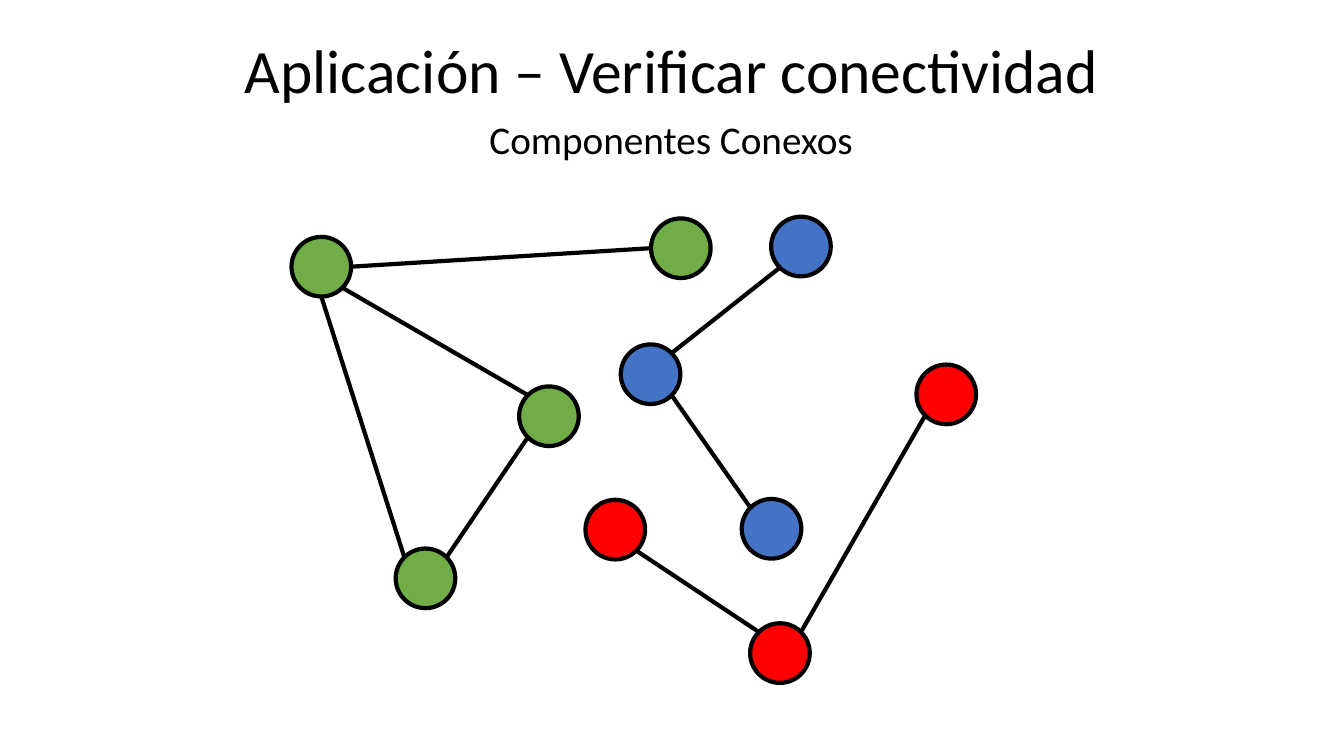
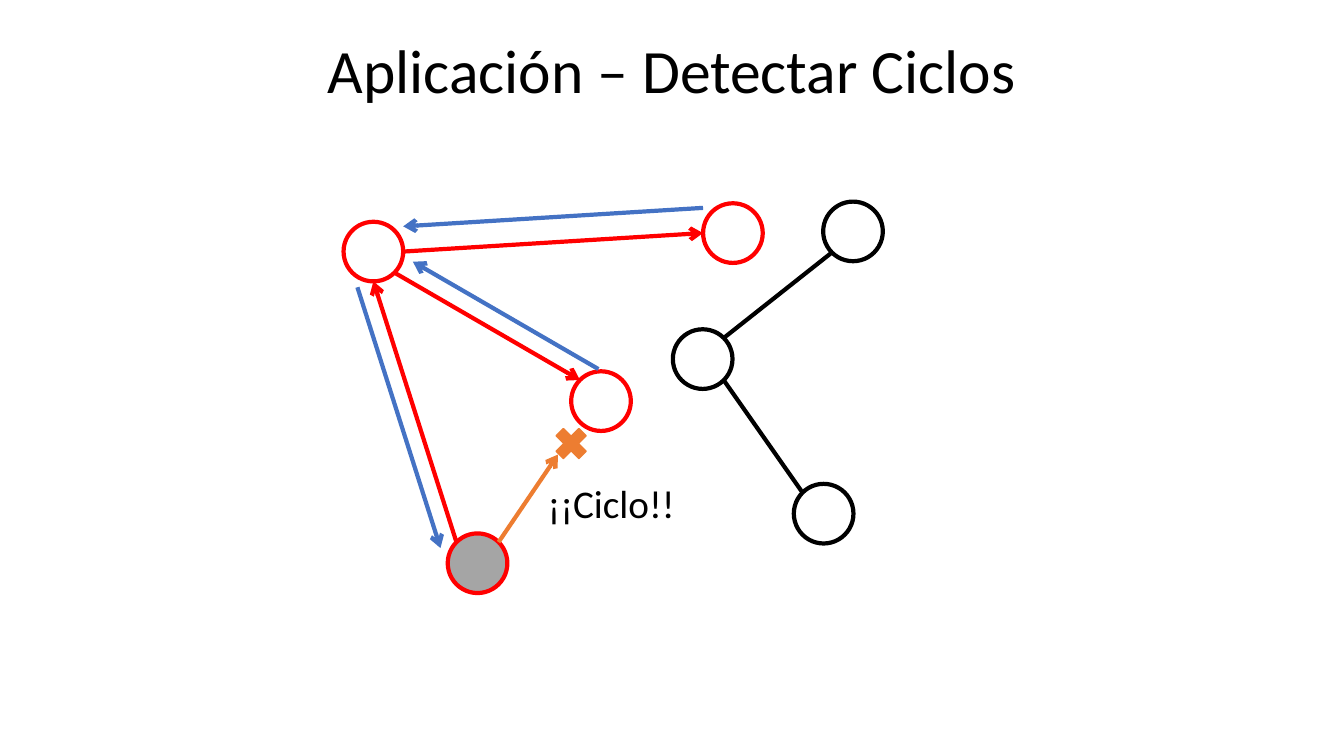
from math import cos, radians, sin

from lxml.etree import SubElement
from pptx import Presentation
from pptx.dml.color import RGBColor
from pptx.enum.shapes import MSO_CONNECTOR, MSO_SHAPE
from pptx.enum.text import MSO_ANCHOR, MSO_AUTO_SIZE, PP_ALIGN
from pptx.oxml.ns import qn
from pptx.util import Inches, Pt

# Shared style
BLACK = RGBColor(0x00, 0x00, 0x00)
RED = RGBColor(0xFF, 0x00, 0x00)
GREEN = RGBColor(0x70, 0xAD, 0x47)
BLUE = RGBColor(0x44, 0x72, 0xC4)
ORANGE = RGBColor(0xED, 0x7D, 0x31)
GRAY = RGBColor(0xA5, 0xA5, 0xA5)
FONT = "Calibri"
LINE_WIDTH = 3

# Square grid: 160 columns by 90 rows
COLUMNS, ROWS = 160, 90
CELL = Inches(7.5) / ROWS
TITLE_BOX = (0, 0, COLUMNS, 17.4)
SUBTITLE_BOX = (52.4, 13.1, 55, 6.8)

# Graph geometry, in cells from the corner of the graph's box
DIAMETER = 7.1
NODES = {
    "A": (0, 2.4), "B": (42.8, 0.2), "C": (27.1, 20.2), "D": (39.2, 15.2),
    "E": (53.6, 33.6), "F": (57.1, 0), "G": (12.4, 39.5),
    "H": (35, 33.7), "I": (54.6, 48.4), "J": (74.4, 17.6),
}
ANGLES = {"E": 0, "SE": 45, "S": 90, "SW": 135, "W": 180, "NW": 225, "NE": 315}
# Each edge: the side on which it leaves its first node and meets its second
EDGES = {
    "AB": ("E", "W"), "FD": ("SW", "NE"), "GC": ("NE", "SW"),
    "AC": ("SE", "NW"), "GA": ("NW", "S"), "DE": ("SE", "NW"),
    "HI": ("SE", "NW"), "IJ": ("NE", "SW"),
}


def cells(*values):
    return [round(value * CELL) for value in values]


def write_text(shape, text, size=28, color=BLACK, align=PP_ALIGN.LEFT,
               anchor=MSO_ANCHOR.TOP, spacing=None, wrap=True):
    frame = shape.text_frame
    frame.word_wrap = wrap
    frame.auto_size = MSO_AUTO_SIZE.NONE
    frame.vertical_anchor = anchor
    paragraph = frame.paragraphs[0]
    paragraph.alignment = align
    paragraph.line_spacing = spacing
    run = paragraph.add_run()
    run.text = text
    run.font.name = FONT
    run.font.size = Pt(size)
    run.font.color.rgb = color


def add_titled_slide(presentation, title):
    slide = presentation.slides.add_slide(presentation.slide_layouts[5])
    shape = slide.shapes.title
    shape.left, shape.top, shape.width, shape.height = cells(*TITLE_BOX)
    write_text(shape, title, size=44, align=PP_ALIGN.CENTER,
               anchor=MSO_ANCHOR.MIDDLE, spacing=0.9)
    return slide


def add_figure(slide, kind, box, fill=None, line=BLACK, width=LINE_WIDTH):
    shape = slide.shapes.add_shape(kind, *cells(*box))
    shape.shadow.inherit = False
    if fill is None:
        shape.fill.background()
    else:
        shape.fill.solid()
        shape.fill.fore_color.rgb = fill
    shape.line.color.rgb = line
    shape.line.width = Pt(width)


def add_line(slide, start, end, color=BLACK, arrow=False):
    connector = slide.shapes.add_connector(
        MSO_CONNECTOR.STRAIGHT, *cells(*start, *end))
    connector.line.color.rgb = color
    connector.line.width = Pt(LINE_WIDTH)
    if arrow:
        SubElement(connector.line._get_or_add_ln(), qn("a:tailEnd"), type="arrow")
    SubElement(connector._element.spPr, qn("a:effectLst"))


def rim_point(origin, node, side):
    """Point on a node's rim, in cells of the slide."""
    angle, radius = radians(ANGLES[side]), DIAMETER / 2
    left, top = NODES[node]
    return (origin[0] + left + radius * (1 + cos(angle)),
            origin[1] + top + radius * (1 + sin(angle)))


def add_nodes(slide, origin, names, fill=None, line=BLACK):
    for name in names:
        left, top = NODES[name]
        add_figure(slide, MSO_SHAPE.OVAL,
                   (origin[0] + left, origin[1] + top, DIAMETER, DIAMETER),
                   fill, line)


def add_edge(slide, origin, edge, color=BLACK, arrow=False, back=False,
             shift=(0, 0), share=1):
    """Draw an edge, perhaps reversed, moved aside or only in part."""
    start, end = (rim_point(origin, node, side)
                  for node, side in zip(edge, EDGES[edge]))
    end = [a + share * (b - a) for a, b in zip(start, end)]
    if back:
        start, end = end, start
    start, end = ([value + move for value, move in zip(point, shift)]
                  for point in (start, end))
    add_line(slide, start, end, color, arrow)


def add_components_slide(presentation):
    slide = add_titled_slide(presentation, "Aplicación – Verificar conectividad")
    subtitle = slide.shapes.add_textbox(*cells(*SUBTITLE_BOX))
    write_text(subtitle, "Componentes Conexos", align=PP_ALIGN.CENTER)

    # One colour for each connected component
    origin = (34.7, 25.8)
    for names, color in (("ABCG", GREEN), ("DEF", BLUE), ("HIJ", RED)):
        add_nodes(slide, origin, names, fill=color)
    for edge in EDGES:
        add_edge(slide, origin, edge)


def add_cycle_slide(presentation):
    slide = add_titled_slide(presentation, "Aplicación – Detectar Ciclos")
    origin = left, top = (40.9, 24)

    # Visited nodes are red, the starting node is gray
    add_nodes(slide, origin, "ABC", line=RED)
    add_nodes(slide, origin, "DEF")
    add_nodes(slide, origin, "G", fill=GRAY, line=RED)
    for edge in ("FD", "DE"):
        add_edge(slide, origin, edge)

    # Forward arrows, each with its return beside it
    for edge, shift in (("AB", (0, -3)), ("AC", (2.2, -1.3)), ("GA", (-1.9, 0.7))):
        add_edge(slide, origin, edge, RED, arrow=True)
        add_edge(slide, origin, edge, BLUE, arrow=True, back=True, shift=shift)

    # The edge that closes the cycle
    add_edge(slide, origin, "GC", ORANGE, arrow=True, share=0.73)
    add_figure(slide, MSO_SHAPE.MATH_MULTIPLY,
               (left + 24.5, top + 26.2, 5.2, 5.2), ORANGE, ORANGE, width=1)
    label = slide.shapes.add_textbox(*cells(left + 23.1, top + 32.5, 17.6, 6.8))
    write_text(label, "¡¡Ciclo!!", wrap=False)


def main():
    presentation = Presentation()
    presentation.slide_width, presentation.slide_height = cells(COLUMNS, ROWS)
    add_components_slide(presentation)
    add_cycle_slide(presentation)
    presentation.save("out.pptx")


if __name__ == "__main__":
    main()
